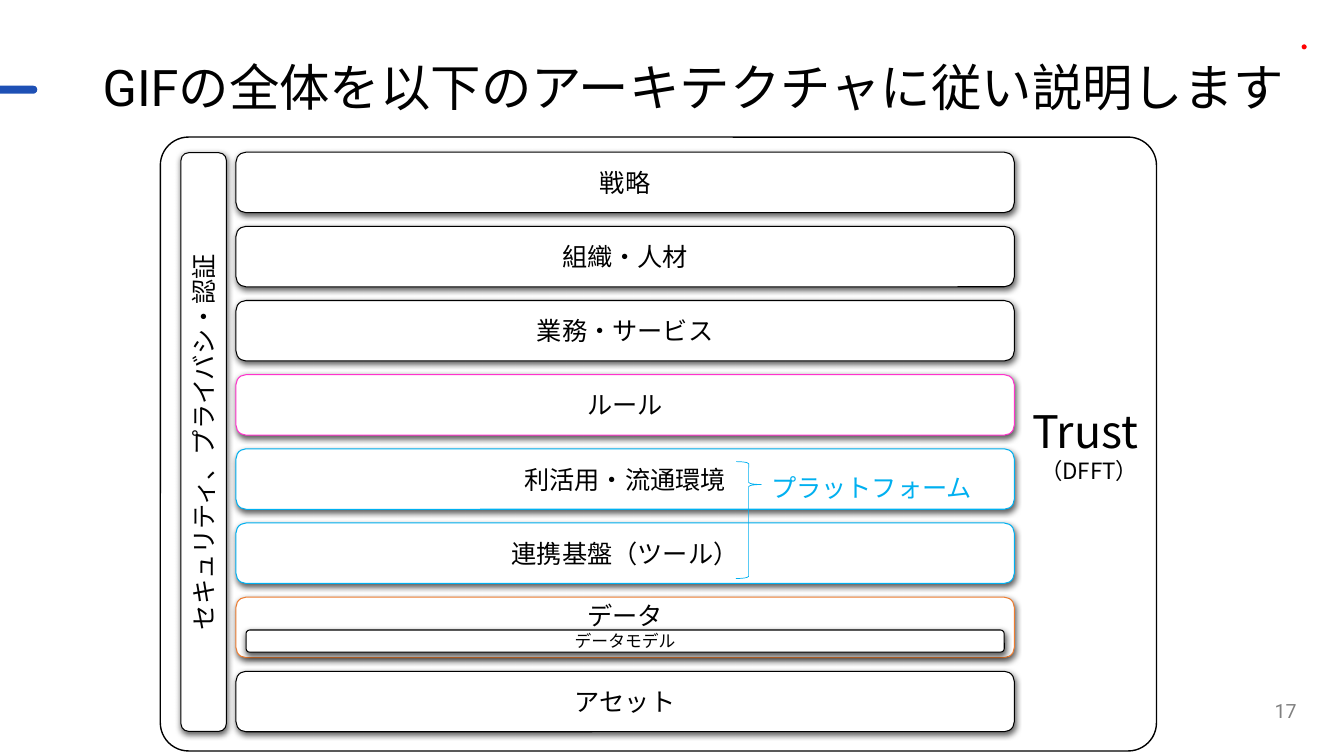
"""Build the GIF architecture overview slide."""
from lxml.etree import SubElement
from pptx import Presentation
from pptx.dml.color import RGBColor
from pptx.enum.shapes import MSO_SHAPE as Shape
from pptx.enum.text import MSO_ANCHOR as Anchor, PP_ALIGN as Align
from pptx.oxml.ns import qn
from pptx.util import Inches, Pt

BLACK, WHITE, BLUE, SKY = "000000", "FFFFFF", "1E50B5", "00B0F0"
PINK, ORANGE, RED, GRAY = "FF33CC", "ED7D31", "FF0000", "808080"
LATIN, JAPANESE = "Roboto", "Noto Sans CJK JP"

LAYERS = [
    ("戦略", BLACK),
    ("組織・人材", BLACK),
    ("業務・サービス", BLACK),
    ("ルール", PINK),
    ("利活用・流通環境", SKY),
    ("連携基盤（ツール）", SKY),
    ("データ", ORANGE),
    ("アセット", BLACK),
]
LAYER_LEFT, LAYER_WIDTH, LAYER_HEIGHT = 2.34, 7.72, 0.6
FIRST_TOP, LAST_TOP = 1.51, 6.66


def color(value):
    return RGBColor.from_string(value)


class SlideBuilder:
    """Draws styled elements on one slide."""

    def __init__(self, slide):
        self.slide = slide

    def shape(self, kind, box, fill=None, line=None, width=0.75, adjust=()):
        shape = self.slide.shapes.add_shape(kind, *map(Inches, box))
        shape.shadow.inherit = False
        if fill:
            shape.fill.solid()
            shape.fill.fore_color.rgb = color(fill)
        else:
            shape.fill.background()
        if line:
            shape.line.color.rgb = color(line)
            shape.line.width = Pt(width)
        else:
            shape.line.fill.background()
        for index, value in enumerate(adjust):
            shape.adjustments[index] = value
        return shape

    def set_text(self, shape, text, sizes, align=Align.CENTER, ink=BLACK,
                 font=JAPANESE, anchor=Anchor.MIDDLE):
        frame = shape.text_frame
        frame.text = text
        frame.vertical_anchor = anchor
        for paragraph, size in zip(frame.paragraphs, sizes):
            paragraph.alignment = align
            for run in paragraph.runs:
                run.font.size = Pt(size)
                run.font.name = font
                run.font.color.rgb = color(ink)
                east_asian = SubElement(run.font._element, qn("a:ea"))
                east_asian.set("typeface", JAPANESE)

    def label(self, box, text, size, wrap=True, **style):
        shape = self.slide.shapes.add_textbox(*map(Inches, box))
        shape.text_frame.word_wrap = wrap
        self.set_text(shape, text, [size], **style)
        return shape

    def card(self, box, text, line=BLACK, size=18, anchor=Anchor.MIDDLE):
        shape = self.shape(Shape.ROUNDED_RECTANGLE, box, WHITE, line)
        self.add_shadow(shape)
        self.set_text(shape, text, [size], anchor=anchor)
        return shape

    def add_shadow(self, shape):
        effects = shape._element.spPr.find(qn("a:effectLst"))
        shadow = SubElement(effects, qn("a:outerShdw"), blurRad=str(Pt(4.5)),
                            dist=str(Pt(1.5)), dir="5400000", rotWithShape="0")
        tint = SubElement(shadow, qn("a:srgbClr"), val=BLACK)
        SubElement(tint, qn("a:alpha"), val="63000")


def main():
    presentation = Presentation()
    presentation.slide_width = Inches(13.33)
    presentation.slide_height = Inches(7.5)
    slide = presentation.slides.add_slide(presentation.slide_layouts[6])
    builder = SlideBuilder(slide)

    builder.shape(Shape.ROUNDED_RECTANGLE, (-0.1, 0.85, 0.47, 0.08), BLUE, adjust=[0.5])
    builder.shape(Shape.OVAL, (12.91, 0.44, 0.05, 0.05), RED)
    title = builder.label((0.92, 0.57, 12.25, 0.65),
                          "GIFの全体を以下のアーキテクチャに従い説明します", 36,
                          align=Align.LEFT, font=LATIN)
    title.text_frame.paragraphs[0].line_spacing = 0.9
    builder.label((9.96, 6.85, 3, 0.4), "17", 14, align=Align.RIGHT, ink=GRAY, font=LATIN)

    trust = builder.shape(Shape.ROUNDED_RECTANGLE, (1.59, 1.36, 9.88, 6.09),
                          WHITE, BLACK, 1, [0.046])
    builder.set_text(trust, "Trust\n（DFFT）", [32, 16], align=Align.RIGHT)

    security = builder.card((-0.85, 4.16, 5.74, 0.45), "セキュリティ、プライバシ・認証")
    security.rotation = 270

    pitch = (LAST_TOP - FIRST_TOP) / (len(LAYERS) - 1)
    for index, (name, line) in enumerate(LAYERS):
        box = (LAYER_LEFT, FIRST_TOP + index * pitch, LAYER_WIDTH, LAYER_HEIGHT)
        holds_model = name == "データ"
        layer = builder.card(box, name, line,
                             anchor=Anchor.TOP if holds_model else Anchor.MIDDLE)
        if holds_model:
            layer.text_frame.margin_top = 0

    builder.card((2.44, 6.25, 7.52, 0.22), "データモデル", size=12)
    builder.shape(Shape.RIGHT_BRACE, (7.3, 4.58, 0.25, 1.16), line=SKY,
                  width=0.5, adjust=[0.083, 0.196])
    builder.label((7.55, 4.64, 2.22, 0.4), "プラットフォーム", 18, wrap=False,
                  align=Align.LEFT, ink=SKY, anchor=Anchor.TOP)

    presentation.save("out.pptx")


if __name__ == "__main__":
    main()
